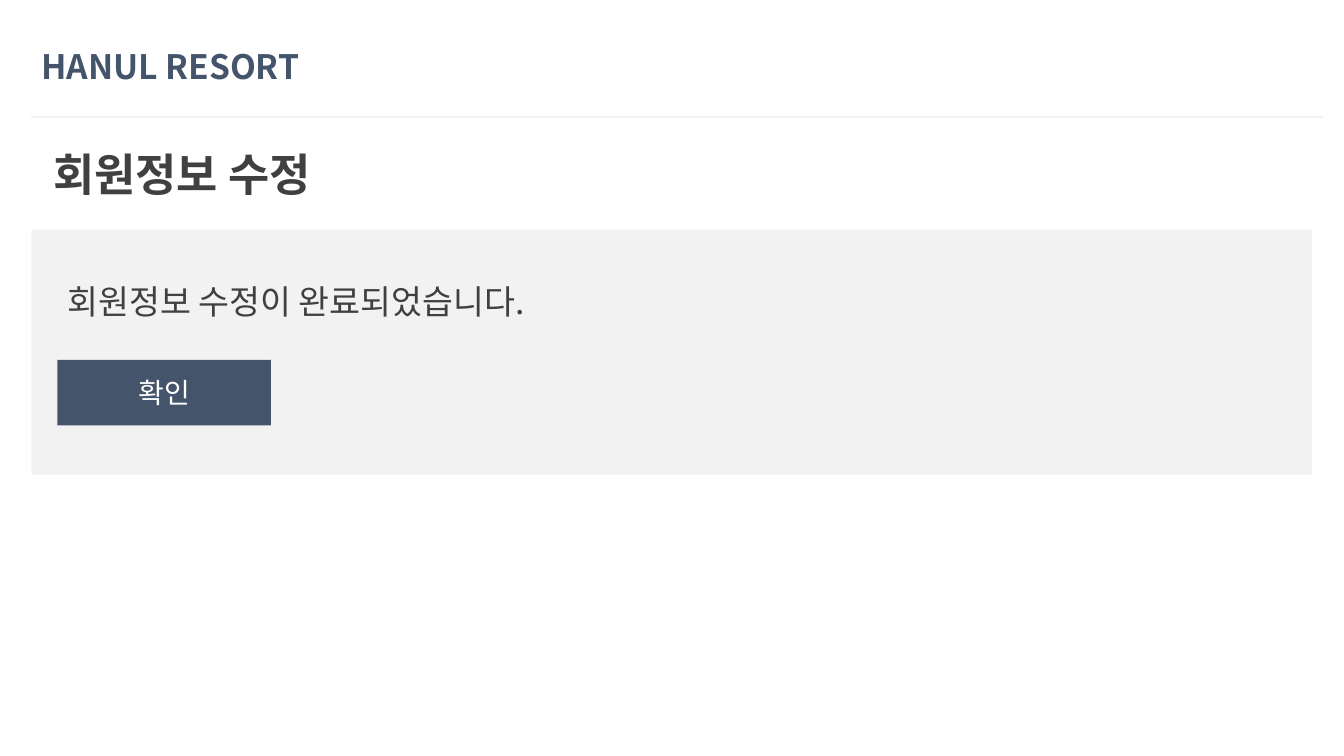
from lxml.etree import SubElement
from pptx import Presentation
from pptx.dml.color import RGBColor
from pptx.enum.shapes import MSO_CONNECTOR as Connector, MSO_SHAPE as Shape
from pptx.enum.text import MSO_ANCHOR as Anchor, MSO_AUTO_SIZE as AutoSize, PP_ALIGN as Align
from pptx.oxml.ns import qn
from pptx.util import Cm, Pt

NAVY = RGBColor(0x44, 0x54, 0x6A)
CHARCOAL = RGBColor(0x40, 0x40, 0x40)
PALE_GRAY = RGBColor(0xF2, 0xF2, 0xF2)
WHITE = RGBColor(0xFF, 0xFF, 0xFF)
FONT = "Noto Sans CJK KR"
MARGIN = Cm(0.79)
INSET = Cm(1.45)


def add_block(left, top, width, height, color):
    block = slide.shapes.add_shape(Shape.RECTANGLE, left, top, width, height)
    block.shadow.inherit = False
    block.fill.solid()
    block.fill.fore_color.rgb = color
    block.line.fill.background()
    return block


def write(frame, text, size, color, bold=False):
    run = frame.paragraphs[0].add_run()
    run.text = text
    for attribute, value in {"name": FONT, "size": Pt(size), "bold": bold}.items():
        setattr(run.font, attribute, value)
    run.font.color.rgb = color
    # Hangul takes the East Asian typeface
    SubElement(run.font._element, qn("a:ea")).set("typeface", FONT)


prs = Presentation()
prs.slide_width, prs.slide_height = Cm(33.87), Cm(19.05)
slide = prs.slides.add_slide(prs.slide_layouts[6])

# Message panel
add_block(MARGIN, Cm(5.79), Cm(32.28), Cm(6.17), PALE_GRAY)

# Header rule
header_rule = slide.shapes.add_connector(
    Connector.STRAIGHT, MARGIN, Cm(2.95), Cm(33.35), Cm(2.95))
header_rule.line.color.rgb = PALE_GRAY
header_rule.line.width = Pt(1.5)
SubElement(header_rule._element.spPr, qn("a:effectLst"))

# Confirm button
confirm = add_block(INSET, Cm(9.07), Cm(5.38), Cm(1.65), NAVY)
confirm.text_frame.vertical_anchor = Anchor.MIDDLE
confirm.text_frame.paragraphs[0].alignment = Align.CENTER
write(confirm.text_frame, "확인", 20, WHITE)

# Site name, page title and message
for text, left, top, width, height, size, color, bold, spacing in (
    ("HANUL RESORT", MARGIN, Cm(1.04), Cm(7.24), Cm(1.27), 24, NAVY, True, None),
    ("회원정보 수정", Cm(1.09), Cm(3.56), Cm(9.93), Cm(1.63), 32, CHARCOAL, True, None),
    ("회원정보 수정이 완료되었습니다.", INSET, Cm(6.45), Cm(19.15), Cm(1.6), 24, CHARCOAL, False, 1.5),
):
    frame = slide.shapes.add_textbox(left, top, width, height).text_frame
    frame.word_wrap = True
    frame.auto_size = AutoSize.SHAPE_TO_FIT_TEXT
    frame.paragraphs[0].line_spacing = spacing
    write(frame, text, size, color, bold)

prs.save("out.pptx")
